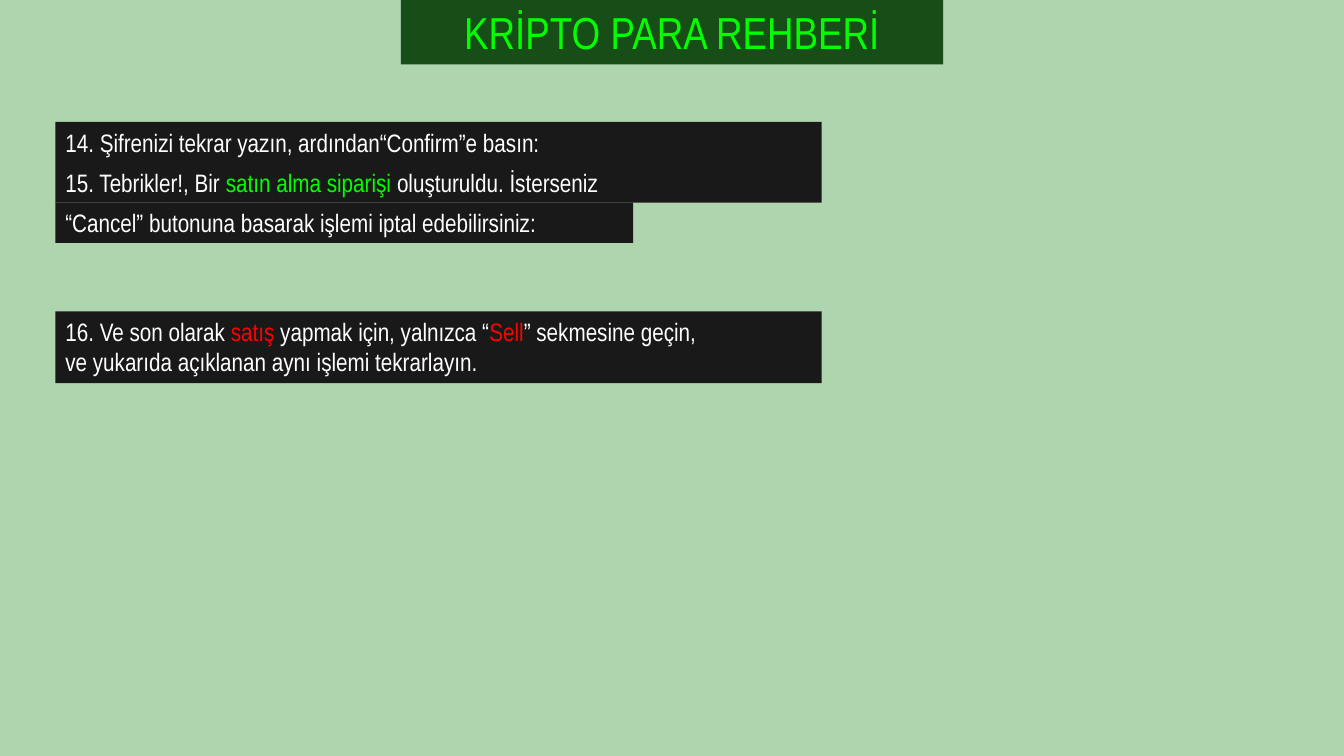
from pptx import Presentation
from pptx.dml.color import RGBColor
from pptx.enum.shapes import MSO_SHAPE
from pptx.enum.text import MSO_ANCHOR, MSO_AUTO_SIZE, PP_ALIGN
from pptx.util import Inches, Pt

COLORS = {
    "page": "AED5AE",
    "banner": "174D17",
    "panel": "1A1919",
    "text": "FFFFFF",
    "buy": "02FF00",
    "sell": "FF0000",
}
SLIDE_W, SLIDE_H = 13.33, 7.5
LEFT, TOP, ROW = 0.55, 1.21, 0.4
WIDE, SHORT = 7.6, 5.73
BANNER_W, BANNER_H = 5.38, 0.64

STEPS = [
    (0, WIDE, ROW, [[("14. Şifrenizi tekrar yazın, ardından“Confirm”e basın:", "text")]]),
    (1, WIDE, ROW, [[("15. Tebrikler!, Bir ", "text"),
                     ("satın alma siparişi ", "buy"),
                     ("oluşturuldu. İsterseniz", "text")]]),
    (2, SHORT, ROW, [[("“Cancel” butonuna basarak işlemi iptal edebilirsiniz:", "text")]]),
    (4.7, WIDE, 0.71, [[("16. Ve son olarak ", "text"),
                        ("satış ", "sell"),
                        ("yapmak için, yalnızca “", "text"),
                        ("Sell", "sell"),
                        ("” sekmesine geçin,", "text")],
                       [("ve yukarıda açıklanan aynı işlemi tekrarlayın.", "text")]]),
]


def rgb(name):
    return RGBColor.from_string(COLORS[name])


def apply(obj, values):
    for name, value in values.items():
        setattr(obj, name, value)


def add_panel(slide, box, fill, lines, size, align=PP_ALIGN.LEFT, wrap=True):
    sp = slide.shapes.add_shape(MSO_SHAPE.RECTANGLE, *map(Inches, box))
    sp.shadow.inherit = False
    sp.fill.solid()
    sp.fill.fore_color.rgb = rgb(fill)
    sp.line.fill.background()
    tf = sp.text_frame
    apply(tf, {"word_wrap": wrap, "vertical_anchor": MSO_ANCHOR.TOP,
               "auto_size": MSO_AUTO_SIZE.SHAPE_TO_FIT_TEXT})
    for i, line in enumerate(lines):
        p = tf.add_paragraph() if i else tf.paragraphs[0]
        p.alignment = align
        for text, color in line:
            r = p.add_run()
            r.text = text
            apply(r.font, {"name": "Arial Narrow", "size": Pt(size)})
            r.font.color.rgb = rgb(color)


def main():
    prs = Presentation()
    apply(prs, {"slide_width": Inches(SLIDE_W), "slide_height": Inches(SLIDE_H)})
    slide = prs.slides.add_slide(prs.slide_layouts[6])
    slide.background.fill.solid()
    slide.background.fill.fore_color.rgb = rgb("page")

    banner = ((SLIDE_W - BANNER_W) / 2, 0, BANNER_W, BANNER_H)
    add_panel(slide, banner, "banner", [[("KRİPTO PARA REHBERİ", "buy")]], 32,
              PP_ALIGN.CENTER, False)
    for row, width, height, lines in STEPS:
        add_panel(slide, (LEFT, TOP + row * ROW, width, height), "panel", lines, 18)
    prs.save("out.pptx")


if __name__ == "__main__":
    main()
